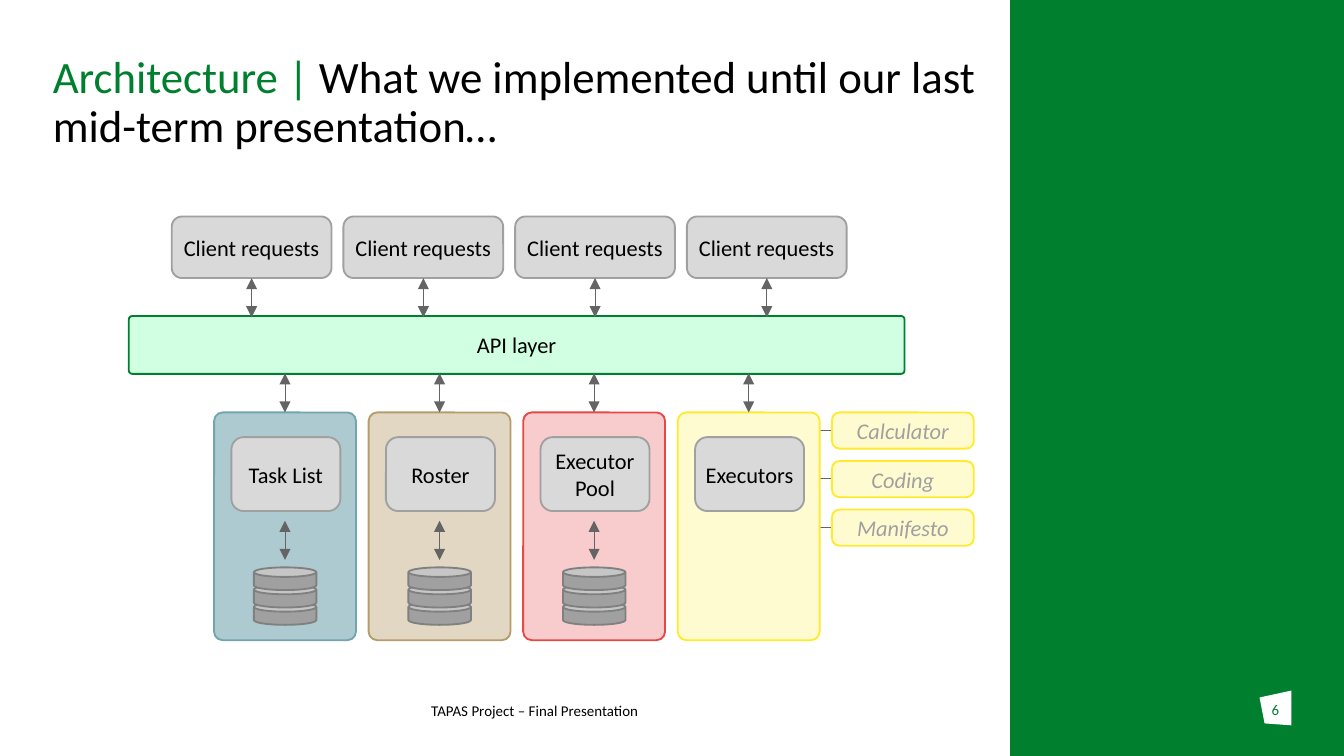
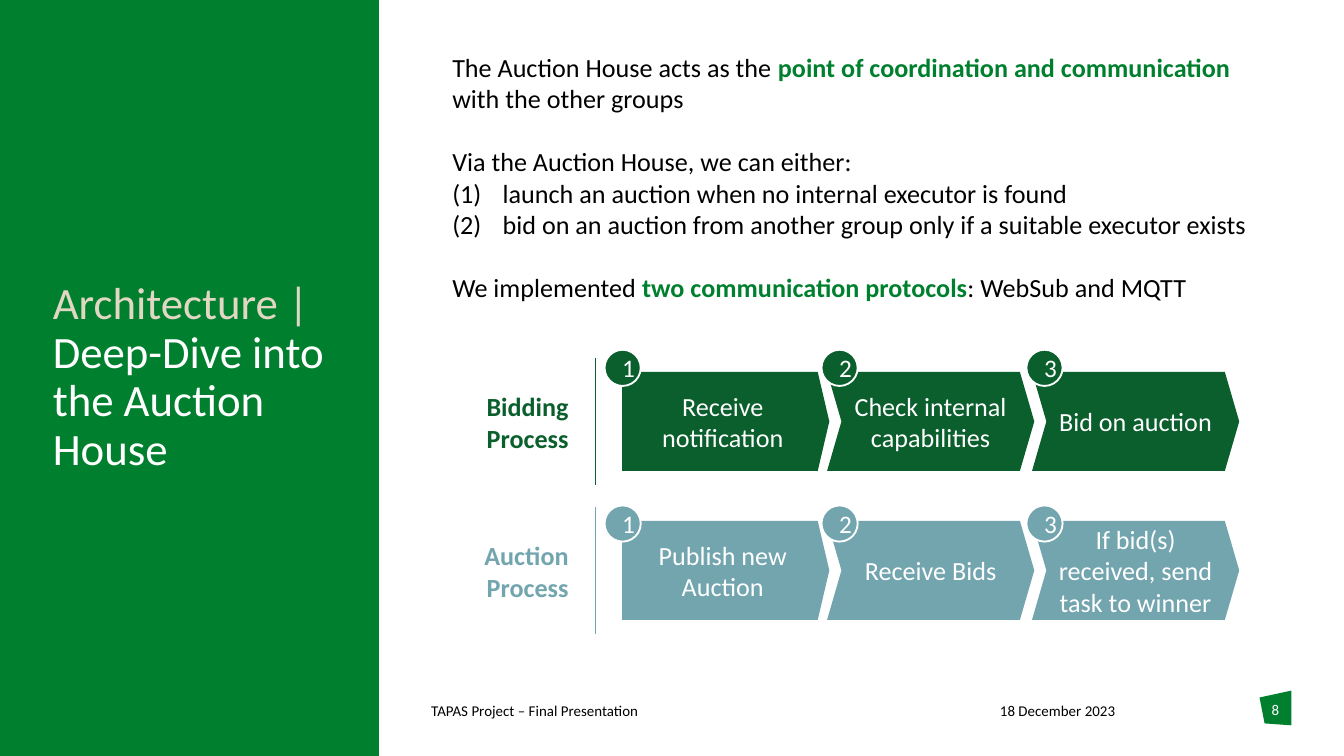
from lxml import etree
from pptx import Presentation
from pptx.dml.color import RGBColor
from pptx.enum.shapes import MSO_CONNECTOR, MSO_SHAPE
from pptx.enum.text import MSO_ANCHOR, MSO_AUTO_SIZE, PP_ALIGN
from pptx.oxml.ns import qn
from pptx.util import Pt

RECT, ROUNDED = MSO_SHAPE.RECTANGLE, MSO_SHAPE.ROUNDED_RECTANGLE
PENTAGON, CHEVRON = MSO_SHAPE.PENTAGON, MSO_SHAPE.CHEVRON
CAN, OVAL = MSO_SHAPE.CAN, MSO_SHAPE.OVAL
STRAIGHT = MSO_CONNECTOR.STRAIGHT
TOP, MIDDLE = MSO_ANCHOR.TOP, MSO_ANCHOR.MIDDLE
NO_AUTOSIZE = MSO_AUTO_SIZE.NONE
LEFT, CENTER, RIGHT = PP_ALIGN.LEFT, PP_ALIGN.CENTER, PP_ALIGN.RIGHT

FONT = "Calibri"
WIDTH, HEIGHT = 720, 405
COLORS = {
    "white": "FFFFFF", "black": "000000", "green": "00802F",
    "dark_green": "0A5F2D", "mint": "D1FFE1", "teal": "73A5AF",
    "pale_teal": "ACCAD0", "tan": "B59C6B", "sand": "E1D7C3",
    "red": "E64848", "pink": "F8CCCC", "yellow": "FFEB2D",
    "cream": "FFFBD1", "light_gray": "D9D9D9", "gray": "A0A0A0",
    "mid_gray": "808080", "arrow": "646464",
}


def rgb(name):
    return RGBColor.from_string(COLORS[name])


def set_font(font, size, color=None, bold=None, italic=None):
    font.name, font.size, font.bold, font.italic = FONT, Pt(size), bold, italic
    if color:
        font.color.rgb = rgb(color)


def set_frame(frame, anchor, inset=0):
    """Wrap the text; an inset of None keeps the default margins."""
    frame.word_wrap = True
    frame.auto_size = NO_AUTOSIZE
    frame.vertical_anchor = anchor
    if inset is not None:
        frame.margin_left = frame.margin_right = Pt(inset)
        frame.margin_top = frame.margin_bottom = Pt(inset)


def add_runs(paragraph, parts):
    """Add (text, colour, bold) parts; a newline becomes a line break."""
    for text, color, bold in parts:
        for index, piece in enumerate(text.split("\n")):
            if index:
                paragraph.add_line_break()
            run = paragraph.add_run()
            run.text = piece
            run.font.color.rgb = rgb(color)
            run.font.bold = bold


def add_block(slide, kind, box, fill, line=None, adjust=None):
    block = slide.shapes.add_shape(kind, *map(Pt, box))
    block.shadow.inherit = False
    block.fill.solid()
    block.fill.fore_color.rgb = rgb(fill)
    if line:
        block.line.color.rgb = rgb(line)
        block.line.width = Pt(1)
    else:
        block.line.fill.background()
    if adjust is not None:
        block.adjustments[0] = adjust
    return block


def label(block, text, size=12, color="black", italic=None, inset=0):
    set_frame(block.text_frame, MIDDLE, inset)
    paragraph = block.text_frame.paragraphs[0]
    paragraph.text = text
    paragraph.alignment = CENTER
    set_font(paragraph.font, size, color, italic=italic)


def add_text(slide, box, text, size, color, align=LEFT, anchor=TOP,
             bold=None, inset=0):
    frame = slide.shapes.add_textbox(*map(Pt, box)).text_frame
    set_frame(frame, anchor, inset)
    paragraph = frame.paragraphs[0]
    paragraph.text = text
    paragraph.alignment = align
    set_font(paragraph.font, size, color, bold)
    return paragraph


def add_line(slide, x1, y1, x2, y2, color="arrow", arrows=False):
    line = slide.shapes.add_connector(STRAIGHT, *map(Pt, (x1, y1, x2, y2)))
    line.line.color.rgb = rgb(color)
    line.line.width = Pt(0.5)
    properties = line.element.spPr
    if arrows:
        for end in ("a:headEnd", "a:tailEnd"):
            etree.SubElement(properties.find(qn("a:ln")), qn(end), type="triangle")
    etree.SubElement(properties, qn("a:effectLst"))


def set_title(slide, box, parts, anchor=TOP):
    """Place the title placeholder in front of the colour bands."""
    title = slide.shapes.title
    title.element.getparent().append(title.element)
    title.left, title.top, title.width, title.height = map(Pt, box)
    set_frame(title.text_frame, anchor)
    paragraph = title.text_frame.paragraphs[0]
    paragraph.alignment = LEFT
    paragraph.line_spacing = 0.9
    set_font(paragraph.font, 24)
    add_runs(paragraph, parts)


def add_footer(slide, number, badge_color, number_color, date=None):
    top = 376
    add_text(slide, (231, top, 179, 14), "TAPAS Project – Final Presentation",
             8, "black")
    if date:
        add_text(slide, (535.7, top, 93, 14), date, 8, "black")
    x, y = 674.8, 370
    builder = slide.shapes.build_freeform(Pt(x), Pt(y + 3.7))
    corners = ((17, 0), (17, 18.6), (2.7, 17.6))
    builder.add_line_segments([(Pt(x + dx), Pt(y + dy)) for dx, dy in corners])
    badge = builder.convert_to_shape()
    badge.shadow.inherit = False
    badge.fill.solid()
    badge.fill.fore_color.rgb = rgb(badge_color)
    badge.line.fill.background()
    page = add_text(slide, (x, top - 0.7, 17, 21), number, 8, number_color, CENTER)
    page.runs[0].font._element.set("spc", "-30")


def add_clients(slide, x, y):
    width, height, pitch = 85.6, 33, 92
    for index in range(4):
        left = x + index * pitch
        client = add_block(slide, ROUNDED, (left, y, width, height),
                           "light_gray", "gray")
        label(client, "Client requests")
        middle = left + width / 2
        add_line(slide, middle, y + height, middle, y + height + 21, arrows=True)


def add_executor_types(slide, x, y):
    for index, name in enumerate(("Calculator", "Coding", "Manifesto")):
        top = y + index * 26
        add_line(slide, x + 8, top + 9.6, x - 13, top + 9.6)
        executor = add_block(slide, ROUNDED, (x, top, 76, 19.4),
                             "cream", "yellow", 0.21)
        label(executor, name, color="gray", italic=True, inset=None)


def add_database(slide, x, y):
    for disk in (2, 1, 0):
        add_block(slide, CAN, (x, y + disk * 9.3, 33.5, 12.2),
                  "gray", "mid_gray", 0.42)


def add_service(slide, x, y, name, fill, line, has_database):
    width = 76
    middle = x + width / 2
    add_block(slide, ROUNDED, (x, y, width, 122), fill, line, 0.06)
    service = add_block(slide, ROUNDED, (x + 9.3, y + 13.2, 58.4, 39.6),
                        "light_gray", "gray")
    label(service, name)
    add_line(slide, middle, y - 21, middle, y, arrows=True)
    if has_database:
        add_line(slide, middle, y + 58, middle, y + 79, arrows=True)
        add_database(slide, x + 21.3, y + 83)


def build_overview(slide):
    add_block(slide, RECT, (0, 0, WIDTH, HEIGHT), "green")
    add_block(slide, PENTAGON, (-1, 0, 542, HEIGHT), "white", adjust=0)
    set_title(slide, (28.3, 29.5, 664, 48), [
        ("Architecture | ", "green", None),
        ("What we implemented until our last \nmid-term presentation…",
         "black", None)])
    api = add_block(slide, ROUNDED, (69, 169.3, 415.6, 31), "mint", "green", 0.06)
    label(api, "API layer")
    add_clients(slide, 92, 116)
    services_top = 221
    add_executor_types(slide, 445.7, services_top)
    services = (
        ("Task List", "pale_teal", "teal", True),
        ("Roster", "sand", "tan", True),
        ("Executor Pool", "pink", "red", True),
        ("Executors", "cream", "yellow", False),
    )
    for index, service in enumerate(services):
        add_service(slide, 114.7 + index * 82.8, services_top, *service)
    add_footer(slide, "6", "white", "green")


def add_explanation(slide, box):
    """Each entry holds its space before, whether it is numbered, and parts."""
    entries = (
        (0, False, [("The Auction House acts as the ", "black", None),
                    ("point of coordination and communication ", "green", True),
                    ("with the other groups", "black", None)]),
        (17, False, [("Via the Auction House, we can either:", "black", None)]),
        (0, True, [("launch an auction when no internal executor is found",
                    "black", None)]),
        (0, True, [("bid on an auction from another group only if a suitable "
                    "executor exists", "black", None)]),
        (17, False, [("We implemented ", "black", None),
                     ("two communication protocols", "green", True),
                     (": WebSub and MQTT", "black", None)]),
    )
    frame = slide.shapes.add_textbox(*map(Pt, box)).text_frame
    set_frame(frame, TOP)
    for index, (space, numbered, parts) in enumerate(entries):
        paragraph = frame.add_paragraph() if index else frame.paragraphs[0]
        if numbered:
            properties = paragraph._p.get_or_add_pPr()
            properties.set("marL", str(Pt(27)))
            properties.set("indent", str(-Pt(27)))
            etree.SubElement(properties, qn("a:buAutoNum"), type="arabicParenBoth")
        paragraph.space_before = Pt(space)
        set_font(paragraph.font, 14)
        add_runs(paragraph, parts)


def add_process(slide, x, y, name, color, steps, number_top):
    height, step_width, pitch = 68, 111, 109.8
    add_text(slide, (x, y, 98, height), name, 14, color, RIGHT, MIDDLE,
             bold=True, inset=None)
    add_line(slide, x + 105.2, y, x + 105.2, y + height, color)
    lefts = [x + 119.5 + index * pitch for index in range(len(steps))]
    for index, (left, text) in enumerate(zip(lefts, steps)):
        kind, point = (CHEVRON, 0.145) if index else (PENTAGON, 0.117)
        step = add_block(slide, kind, (left, y + 7.3, step_width, 53),
                         color, adjust=point)
        label(step, text, 14, "white")
    for index, left in enumerate(lefts):
        offset = 3 if index else 9.4
        number = add_block(slide, OVAL, (left - offset, y + number_top, 19.4, 19.4),
                           color, "white")
        label(number, str(index + 1), 13.5, "white", inset=None)


def build_deep_dive(slide):
    add_block(slide, RECT, (0, 0, 203, HEIGHT), "green")
    set_title(slide, (28.3, 178.5, 152, 48), [
        ("Architecture |", "sand", None),
        (" Deep-Dive into the Auction House", "white", None)], MIDDLE)
    add_explanation(slide, (242.3, 27.5, 437, 135.5))
    add_process(slide, 213.8, 192, "Bidding Process", "dark_green",
                ("Receive notification", "Check internal capabilities",
                 "Bid on auction"), -4.6)
    add_process(slide, 213.8, 271.8, "Auction Process", "teal",
                ("Publish new Auction", "Receive Bids",
                 "If bid(s) received, send task to winner"), -1)
    add_footer(slide, "8", "green", "white", "18 December 2023")


def main():
    deck = Presentation()
    deck.slide_width, deck.slide_height = Pt(WIDTH), Pt(HEIGHT)
    title_only = deck.slide_layouts[5]
    for build in (build_overview, build_deep_dive):
        build(deck.slides.add_slide(title_only))
    deck.save("out.pptx")


if __name__ == "__main__":
    main()
